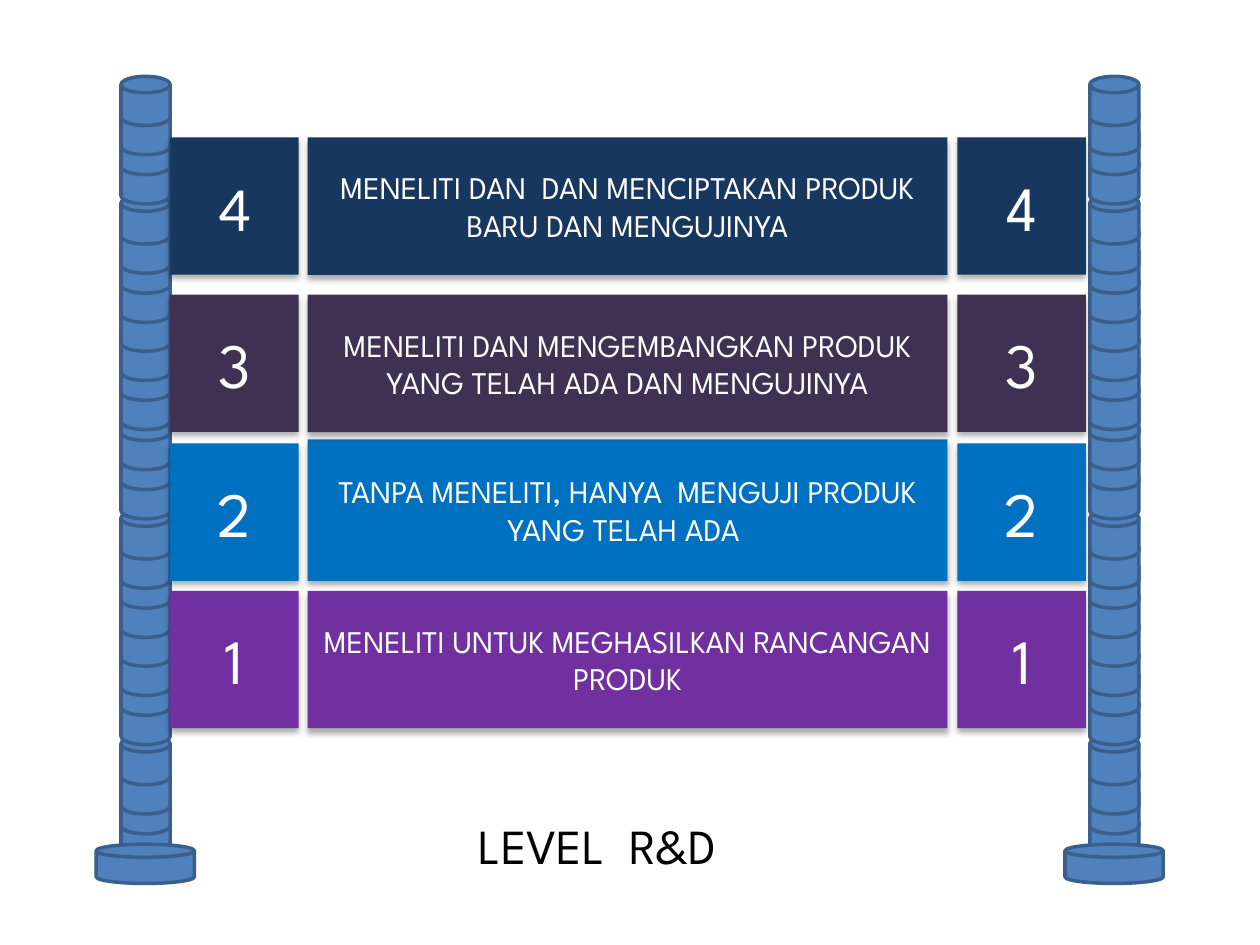
"""Build the slide of four R&D levels hung between two ringed poles."""
from collections import namedtuple

from lxml import etree
from pptx import Presentation
from pptx.dml.color import RGBColor
from pptx.enum import shapes, text
from pptx.oxml import ns
from pptx.util import Cm, Pt

Theme = namedtuple("Theme", "font alt_font pole pole_edge light dark number label title")
theme = Theme("League Spartan", "Calibri", "4F81BD", "3A5F8C", "FFFFFF", "000000", 36, 18, 28)


def add_disk(pole, left, top, width, height):
    disk = pole.shapes.add_shape(shapes.MSO_SHAPE.FLOWCHART_MAGNETIC_DISK,
                                 Cm(left), Cm(top), Cm(width), Cm(height))
    disk.shadow.inherit = False
    disk.fill.solid()
    disk.fill.fore_color.rgb = RGBColor.from_string(theme.pole)
    disk.line.color.rgb = RGBColor.from_string(theme.pole_edge)
    disk.line.width = Pt(2)


def add_panel(kind, box, color, wording, size, font):
    panel = slide.shapes.add_shape(kind, *map(Cm, box))
    panel.fill.solid()
    panel.fill.fore_color.rgb = RGBColor.from_string(color)
    panel.line.fill.background()
    panel.shadow.inherit = False
    effects = panel._element.spPr.find(ns.qn("a:effectLst"))
    shadow = etree.SubElement(effects, ns.qn("a:outerShdw"), blurRad=str(Pt(3.5)),
                              dist=str(Pt(2.2)), dir="5400000", rotWithShape="0")
    tint = etree.SubElement(shadow, ns.qn("a:srgbClr"), val=theme.dark)
    etree.SubElement(tint, ns.qn("a:alpha"), val="32000")
    if kind == shapes.MSO_SHAPE.PENTAGON:
        panel.adjustments[0] = 0
    panel.text_frame.word_wrap = True
    panel.text_frame.vertical_anchor = text.MSO_ANCHOR.MIDDLE
    paragraph = panel.text_frame.paragraphs[0]
    paragraph.text = wording
    paragraph.alignment = text.PP_ALIGN.CENTER
    paragraph.font.name = font
    paragraph.font.size = Pt(size)
    paragraph.font.color.rgb = RGBColor.from_string(theme.light)


deck = Presentation()
deck.slide_width, deck.slide_height = Cm(25.4), Cm(19.05)
slide = deck.slides.add_slide(deck.slide_layouts[5])

section_tops = [16.41, 14.02, 11.86, 9.47, 7.67, 5.51, 3.12]
ring_rises = [0, 0.59, 0.99, 1.58]
for pole_left in (2.44, 21.97):
    pole = slide.shapes.add_group_shape()
    for section_top in section_tops:
        for rise in ring_rises:
            add_disk(pole, pole_left, section_top - rise, 0.99, 0.99)
    add_disk(pole, pole_left - 0.5, 17.02, 1.98, 0.79)

levels = [
    ("1", 11.91, 11.91, "7030A0", theme.font, "MENELITI UNTUK MEGHASILKAN RANCANGAN PRODUK"),
    ("2", 8.94, 8.86, "0070C0", theme.font,
     "TANPA MENELITI, HANYA  MENGUJI PRODUK YANG TELAH ADA "),
    ("3", 5.94, 5.94, "403152", theme.font,
     "MENELITI DAN MENGEMBANGKAN PRODUK YANG TELAH ADA DAN MENGUJINYA"),
    ("4", 2.77, 2.77, "17375E", theme.alt_font,
     "MENELITI DAN  DAN MENCIPTAKAN PRODUK BARU DAN MENGUJINYA"),
]
level_height = 2.77
for number, top, label_top, color, left_font, label in levels:
    for number_left, font in ((3.43, left_font), (19.3, theme.font)):
        add_panel(shapes.MSO_SHAPE.RECTANGLE, (number_left, top, 2.59, level_height),
                  color, number, theme.number, font)
    label_height = top + level_height - label_top
    add_panel(shapes.MSO_SHAPE.PENTAGON, (6.2, label_top, 12.9, label_height),
              color, label, theme.label, theme.font)

title = slide.shapes.title
title.left, title.top, title.width, title.height = Cm(6), Cm(16.31), Cm(12.09), Cm(1.45)
title.text_frame.word_wrap = True
title.text_frame.auto_size = text.MSO_AUTO_SIZE.SHAPE_TO_FIT_TEXT
title.text_frame.vertical_anchor = text.MSO_ANCHOR.TOP
heading = title.text_frame.paragraphs[0]
heading.text = "LEVEL  R&D"
heading.alignment = text.PP_ALIGN.CENTER
heading.font.name = theme.font
heading.font.size = Pt(theme.title)
heading.font.color.rgb = RGBColor.from_string(theme.dark)

deck.save("out.pptx")
